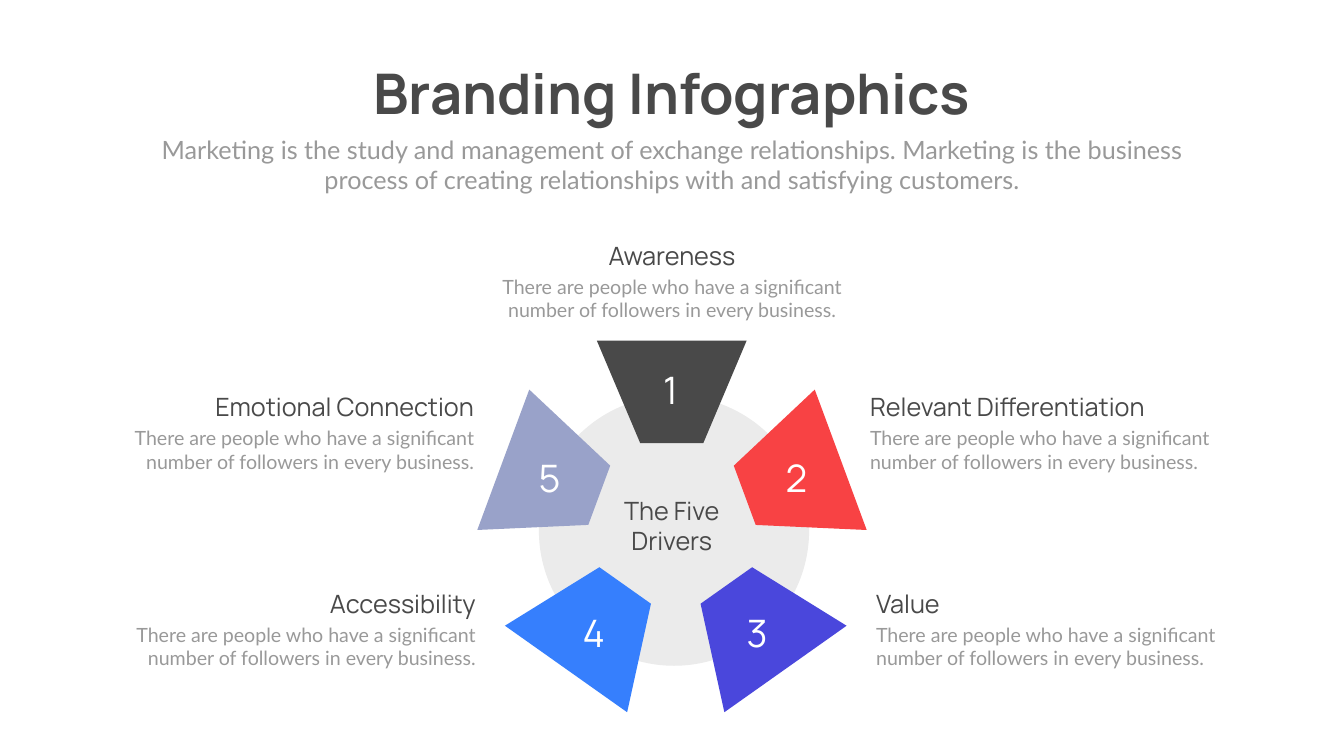
"""Builds the slide of five branding drivers arranged around a circle."""
from dataclasses import dataclass

from pptx import Presentation
from pptx.dml.color import RGBColor
from pptx.enum.shapes import MSO_SHAPE as Shape
from pptx.enum.text import MSO_ANCHOR as Anchor, MSO_AUTO_SIZE as AutoSize, PP_ALIGN as Align
from pptx.util import Pt


@dataclass(frozen=True)
class Theme:
    heading_font: str = "Manrope"
    body_font: str = "Lato"
    dark: str = "494949"
    grey: str = "999999"
    pale: str = "EBEBEB"
    white: str = "FFFFFF"
    title_size: int = 80
    lead_size: int = 36
    body_size: int = 28
    number_size: int = 54


@dataclass(frozen=True)
class Driver:
    heading: str
    color: str
    rotation: float
    center: tuple
    number_at: tuple
    caption_at: tuple
    heading_width: float
    align: Align


SLIDE_WIDTH, SLIDE_HEIGHT = 1919.52, 1080
WEDGE_WIDTH, WEDGE_HEIGHT = 213.84, 146.16
CAPTION_WIDTH = 545.76
HEADING_STEP = 49.3
EDGE_SHARE = {Align.LEFT: 0, Align.CENTER: 0.5, Align.RIGHT: 1}
CAPTION = "There are people who have a significant number of followers in every business."
LEAD = ("Marketing is the study and management of exchange relationships. "
        "Marketing is the business process of creating relationships with "
        "and satisfying customers.")
DRIVERS = [
    Driver("Awareness", "494949", 180, (959.4, 559.8), (889.2, 519.84),
           (959.76, 339.84), 385.2, Align.CENTER),
    Driver("Relevant Differentiation", "F84244", 249.7, (1132.2, 682.2), (1069.2, 646.56),
           (1235.52, 555.84), 496.08, Align.LEFT),
    Driver("Value", "4A47DC", 324.7, (1079.64, 896.04), (1013.04, 867.6),
           (1244.16, 836.64), 385.2, Align.LEFT),
    Driver("Accessibility", "367FFD", 35.3, (850.68, 896.04), (779.76, 867.6),
           (686.5, 836.64), 385.2, Align.RIGHT),
    Driver("Emotional Connection", "99A2C9", 110.3, (787.32, 682.2), (716.4, 646.56),
           (684, 555.84), 496.08, Align.RIGHT),
]


def write_text(frame, text, *, font, size, color, align=Align.CENTER, bold=False, wrap=True):
    """Fill a text frame with one formatted paragraph."""
    frame.word_wrap = wrap
    frame.auto_size = AutoSize.SHAPE_TO_FIT_TEXT
    frame.vertical_anchor = Anchor.TOP
    paragraph = frame.paragraphs[0]
    paragraph.alignment = align
    paragraph.space_before = Pt(0)
    run = paragraph.add_run()
    run.text = text
    run.font.name = font
    run.font.size = Pt(size)
    run.font.bold = bold
    run.font.color.rgb = RGBColor.from_string(color)


class Canvas:
    """Holds the style and the current slide."""

    def __init__(self, slide, theme):
        """Keep the slide and theme."""
        self.slide = slide
        self.theme = theme

    def placeholder(self, index, text, box, **style):
        """Move a template placeholder and fill it."""
        holder = self.slide.placeholders[index]
        holder.left, holder.top, holder.width, holder.height = map(Pt, box)
        write_text(holder.text_frame, text, **style)

    def label(self, text, box, **style):
        """Add a text box."""
        write_text(self.slide.shapes.add_textbox(*map(Pt, box)).text_frame, text, **style)

    def shape(self, kind, box, color):
        """Add a filled shape without outline."""
        shape = self.slide.shapes.add_shape(kind, *map(Pt, box))
        shape.shadow.inherit = False
        shape.fill.solid()
        shape.fill.fore_color.rgb = RGBColor.from_string(color)
        shape.line.fill.background()
        return shape

    def wedge(self, driver):
        """Add a rotated trapezoid around its centre."""
        x, y = driver.center
        box = (x - WEDGE_WIDTH / 2, y - WEDGE_HEIGHT / 2, WEDGE_WIDTH, WEDGE_HEIGHT)
        wedge = self.shape(Shape.TRAPEZOID, box, driver.color)
        wedge.adjustments[0] = 0.423
        wedge.rotation = driver.rotation

    def number(self, value, driver):
        """Add the number on a wedge."""
        self.label(str(value), (*driver.number_at, 136.8, 72.72), font=self.theme.heading_font,
                   size=self.theme.number_size, color=self.theme.white)

    def caption(self, driver):
        """Add a heading and its description, aligned on one edge."""
        theme = self.theme
        x, y = driver.caption_at
        share = EDGE_SHARE[driver.align]
        self.label(driver.heading,
                   (x - share * driver.heading_width, y, driver.heading_width, 51.12),
                   font=theme.heading_font, size=theme.lead_size, color=theme.dark,
                   align=driver.align)
        self.label(CAPTION,
                   (x - share * CAPTION_WIDTH, y + HEADING_STEP, CAPTION_WIDTH, 74.88),
                   font=theme.body_font, size=theme.body_size, color=theme.grey,
                   align=driver.align)


def main():
    """Build and save the slide."""
    deck = Presentation()
    deck.slide_width, deck.slide_height = Pt(SLIDE_WIDTH), Pt(SLIDE_HEIGHT)
    theme = Theme()
    canvas = Canvas(deck.slides.add_slide(deck.slide_layouts[0]), theme)

    canvas.placeholder(0, "Branding Infographics", (486, 80.64, 947.52, 104.4),
                       font=theme.heading_font, size=theme.title_size, color=theme.dark,
                       bold=True, wrap=False)
    canvas.placeholder(1, LEAD, (210.24, 187.92, 1499.04, 94.32), font=theme.body_font,
                       size=theme.lead_size, color=theme.grey)
    canvas.shape(Shape.OVAL, (769.68, 565.2, 385.92, 385.92), theme.pale)
    for value, driver in enumerate(DRIVERS, start=1):
        canvas.wedge(driver)
        canvas.number(value, driver)
        canvas.caption(driver)
    canvas.label("The Five Drivers", (852.48, 704.16, 213.84, 94.32),
                 font=theme.heading_font, size=theme.lead_size, color=theme.dark)
    deck.save("out.pptx")


if __name__ == "__main__":
    main()
